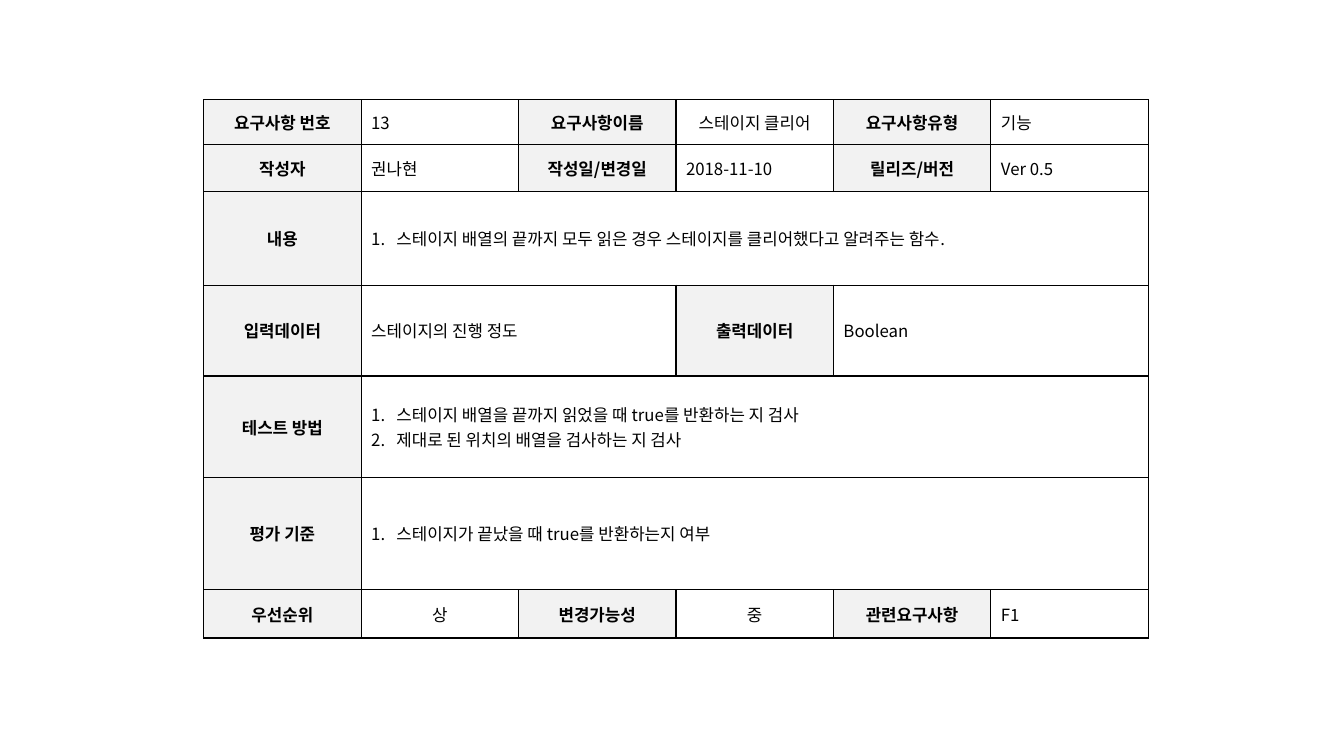
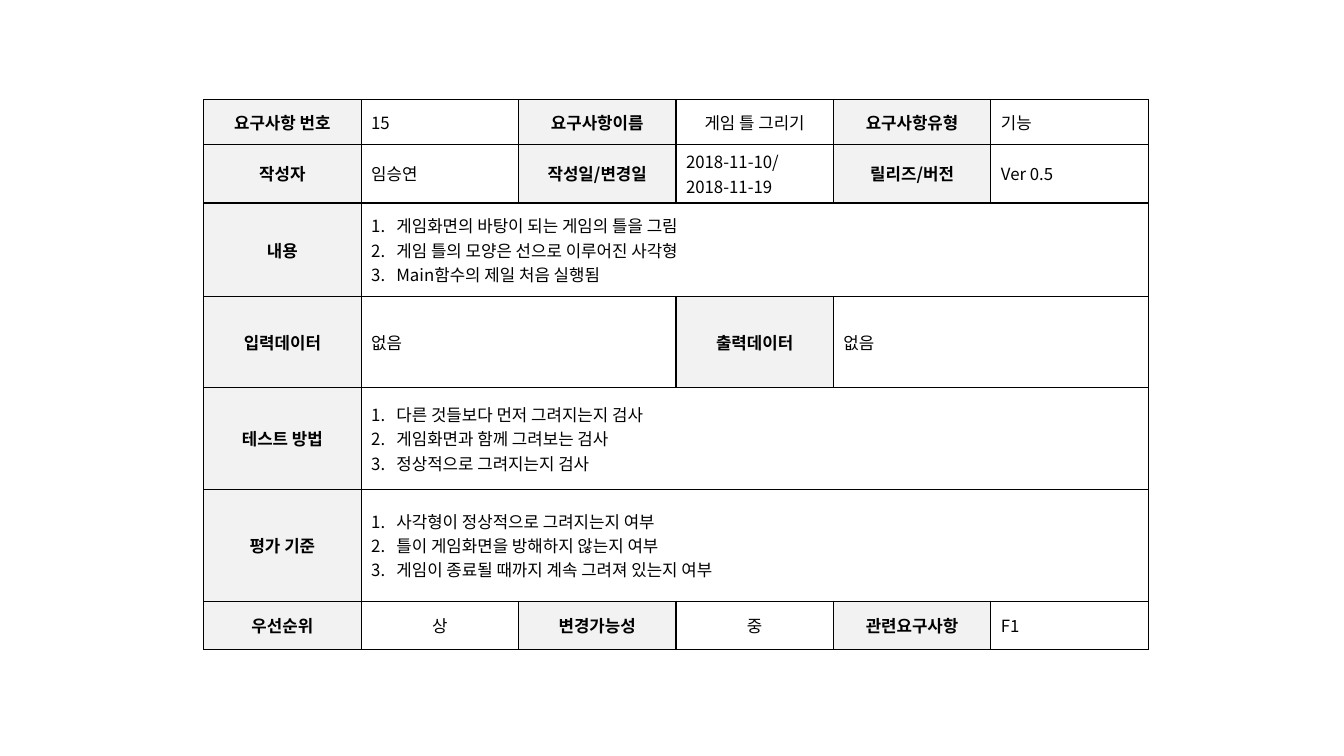
from lxml import etree
from pptx import Presentation
from pptx import util as u
from pptx.dml.color import RGBColor
from pptx.enum import text
from pptx.oxml import ns

WIDTH, HEIGHT = 13.33, 7.5
COLORS = {"ink": "000000", "label": "F2F2F2"}
FONT = "Noto Sans CJK KR"
LEFT, TOP, TABLE_WIDTH = 2.02, 0.99, 9.37
COLUMNS = 6
ROW_HEIGHTS = [0.44, 0.47, 0.93, 0.9, 1.01, 1.11, 0.48]
INDENT = u.Inches(0.25)

# Each row holds label and value pairs that share its six columns evenly.
FORM = [
    ["요구사항 번호", "요구사항이름", "요구사항유형"],
    ["작성자", "작성일/변경일", "릴리즈/버전"],
    ["내용"],
    ["입력데이터", "출력데이터"],
    ["테스트 방법"],
    ["평가 기준"],
    ["우선순위", "변경가능성", "관련요구사항"],
]
CENTERED = {"요구사항이름", "우선순위", "변경가능성"}
NUMBERED = {"내용", "테스트 방법", "평가 기준"}

COMMON = {
    "요구사항유형": "기능",
    "릴리즈/버전": "Ver 0.5",
    "우선순위": "상",
    "변경가능성": "중",
    "관련요구사항": "F1",
}
REQUIREMENTS = [
    {
        "요구사항 번호": "13",
        "요구사항이름": "스테이지 클리어",
        "작성자": "권나현",
        "작성일/변경일": "2018-11-10",
        "내용": "스테이지 배열의 끝까지 모두 읽은 경우 스테이지를 클리어했다고 알려주는 함수.",
        "입력데이터": "스테이지의 진행 정도",
        "출력데이터": "Boolean",
        "테스트 방법": "스테이지 배열을 끝까지 읽었을 때 true를 반환하는 지 검사\n"
                    "제대로 된 위치의 배열을 검사하는 지 검사",
        "평가 기준": "스테이지가 끝났을 때 true를 반환하는지 여부",
    },
    {
        "요구사항 번호": "15",
        "요구사항이름": "게임 틀 그리기",
        "작성자": "임승연",
        "작성일/변경일": "2018-11-10/\n2018-11-19",
        "내용": "게임화면의 바탕이 되는 게임의 틀을 그림\n"
              "게임 틀의 모양은 선으로 이루어진 사각형\n"
              "Main함수의 제일 처음 실행됨",
        "입력데이터": "없음",
        "출력데이터": "없음",
        "테스트 방법": "다른 것들보다 먼저 그려지는지 검사\n"
                    "게임화면과 함께 그려보는 검사\n"
                    "정상적으로 그려지는지 검사",
        "평가 기준": "사각형이 정상적으로 그려지는지 여부\n"
                  "틀이 게임화면을 방해하지 않는지 여부\n"
                  "게임이 종료될 때까지 계속 그려져 있는지 여부",
    },
]


def add_element(parent, tag, **attributes):
    return etree.SubElement(parent, ns.qn(tag), attributes)


def set_borders(cell):
    properties = cell._tc.get_or_add_tcPr()
    for position, side in enumerate(("a:lnL", "a:lnR", "a:lnT", "a:lnB")):
        line = etree.Element(ns.qn(side), w=str(u.Pt(1)))
        fill = add_element(line, "a:solidFill")
        add_element(fill, "a:srgbClr", val=COLORS["ink"])
        properties.insert(position, line)


def number_paragraph(para):
    properties = para._p.get_or_add_pPr()
    properties.set("marL", str(INDENT))
    properties.set("indent", str(-INDENT))
    add_element(properties, "a:buFont", typeface="+mj-lt")
    add_element(properties, "a:buAutoNum", type="arabicPeriod")


def write_cell(cell, content, bold=False, centered=False, numbered=False):
    cell.vertical_anchor = text.MSO_ANCHOR.MIDDLE
    cell.text_frame.text = content
    for para in cell.text_frame.paragraphs:
        para.alignment = text.PP_ALIGN.CENTER if centered else text.PP_ALIGN.LEFT
        if numbered:
            number_paragraph(para)
        for span in para.runs:
            span.font.color.rgb = RGBColor.from_string(COLORS["ink"])
            for name, value in {"name": FONT, "size": u.Pt(12), "bold": bold}.items():
                setattr(span.font, name, value)
            add_element(span._r.get_or_add_rPr(), "a:ea", typeface=FONT)


def fill_label(cell):
    cell.fill.solid()
    cell.fill.fore_color.rgb = RGBColor.from_string(COLORS["label"])


def add_form_table(page):
    table = page.shapes.add_table(
        len(FORM), COLUMNS, u.Inches(LEFT), u.Inches(TOP),
        u.Inches(TABLE_WIDTH), u.Inches(sum(ROW_HEIGHTS))).table
    table.first_row = table.horz_banding = False
    for column in table.columns:
        column.width = u.Inches(TABLE_WIDTH / COLUMNS)
    for row, height in zip(table.rows, ROW_HEIGHTS):
        row.height = u.Inches(height)
    for cell in table.iter_cells():
        cell.fill.background()
        set_borders(cell)
    return table


def add_requirement(deck, values):
    page = deck.slides.add_slide(deck.slide_layouts[6])
    table = add_form_table(page)
    for row, labels in enumerate(FORM):
        step = COLUMNS // len(labels)
        for start, label in zip(range(0, COLUMNS, step), labels):
            label_cell = table.cell(row, start)
            value_cell = table.cell(row, start + 1)
            if step > 2:
                value_cell.merge(table.cell(row, start + step - 1))
            fill_label(label_cell)
            write_cell(label_cell, label, bold=True, centered=True)
            write_cell(value_cell, values[label],
                       centered=label in CENTERED, numbered=label in NUMBERED)


def main():
    deck = Presentation()
    deck.slide_width, deck.slide_height = u.Inches(WIDTH), u.Inches(HEIGHT)
    for values in REQUIREMENTS:
        add_requirement(deck, COMMON | values)
    deck.save("out.pptx")


if __name__ == "__main__":
    main()
